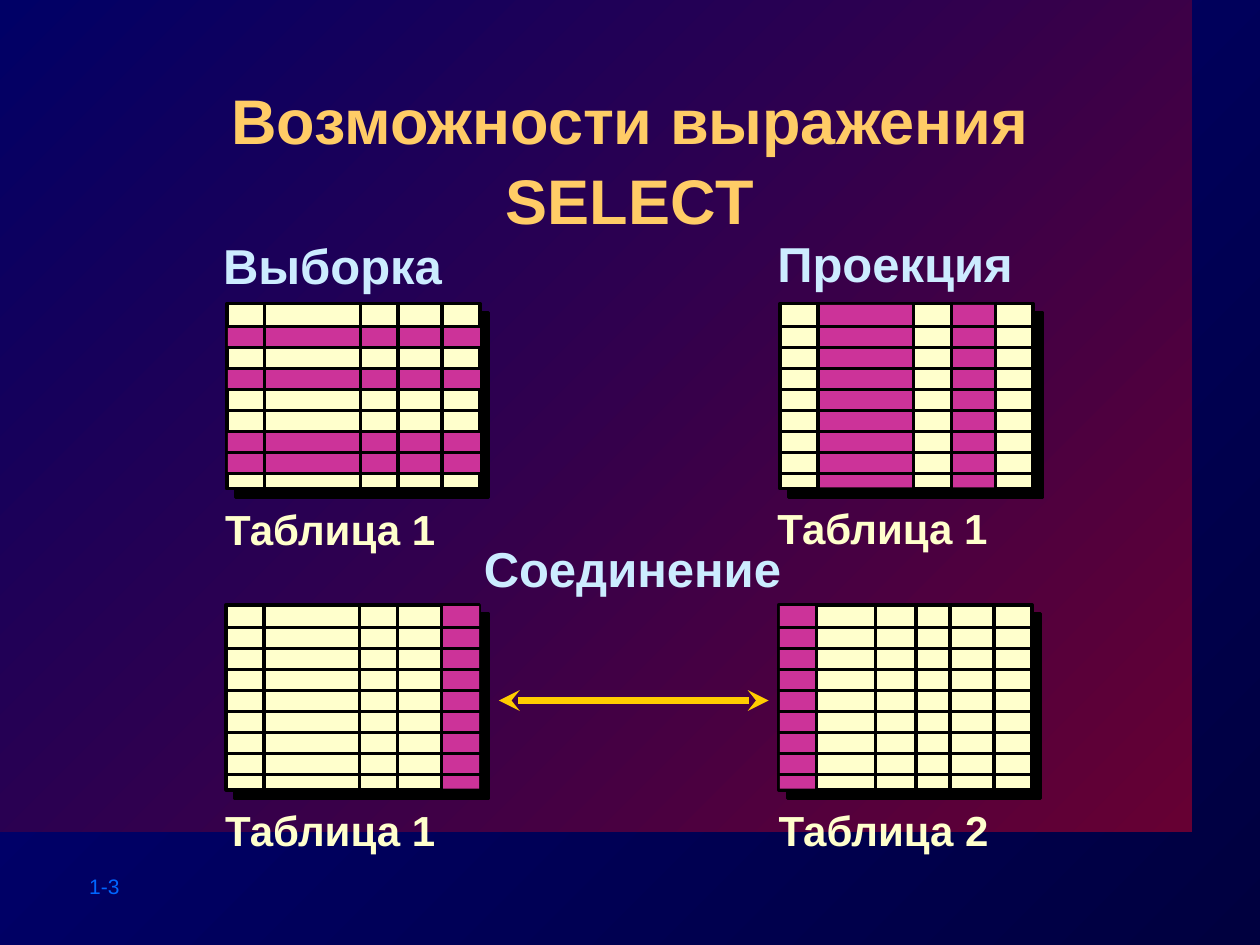
from dataclasses import dataclass

from lxml.etree import SubElement
from pptx import Presentation
from pptx.dml.color import RGBColor as Rgb
from pptx.enum.shapes import MSO_CONNECTOR as Connector, MSO_SHAPE as Preset
from pptx.enum.text import MSO_ANCHOR as Anchor, PP_ALIGN as Align
from pptx.oxml.ns import qn
from pptx.util import Pt

COLORS = {
    "title": "FFCC66", "heading": "CCECFF", "caption": "FFFFCC",
    "number": "0066FF", "cell": "FFFFCC", "picked": "CC3399",
    "grid": "000000", "shadow": "000000", "arrow": "FFCC00",
    "back_start": "00003F", "back_end": "000080",
    "panel_start": "660033", "panel_end": "000066",
}
GRID_WIDTH, GRID_HEIGHT = 144.7, 105.8
FIRST_ROW, ROW_PITCH, ROW_COUNT = 13, 12, 9
ROW_EDGES = [0, *(FIRST_ROW + ROW_PITCH * i for i in range(ROW_COUNT - 1)), GRID_HEIGHT]
FIVE_COLUMNS = (0, 21.6, 76.3, 97.9, 123.1, GRID_WIDTH)
SIX_COLUMNS = (0, 21.6, 55.4, 78.5, 97.9, 123.1, GRID_WIDTH)


@dataclass
class Grid:
    left: float
    top: float
    columns: tuple[float, ...]
    picked_rows: tuple[int, ...] = ()
    picked_columns: tuple[int, ...] = ()


@dataclass
class Label:
    text: str
    left: float
    top: float
    width: float
    height: float
    size: float
    color: str
    bold: bool = True


GRIDS = [
    Grid(129.6, 173.5, FIVE_COLUMNS, picked_rows=(1, 3, 6, 7)),
    Grid(445.7, 173.5, FIVE_COLUMNS, picked_columns=(1, 3)),
    Grid(129.2, 345.6, FIVE_COLUMNS, picked_columns=(4,)),
    Grid(445, 345.6, SIX_COLUMNS, picked_columns=(0,)),
]
LABELS = [
    Label("Выборка", 120.4, 131.3, 139.7, 41, 28, "heading"),
    Label("Проекция", 437.2, 130, 149, 41, 28, "heading"),
    Label("Соединение", 269.4, 304.4, 184.3, 41, 28, "heading"),
    Label("Таблица 1", 121.6, 284, 135.4, 36, 24, "caption"),
    Label("Таблица 1", 437.2, 283.5, 135.4, 36, 24, "caption"),
    Label("Таблица 1", 121.6, 456.4, 135.4, 36, 24, "caption"),
    Label("Таблица 2", 437.8, 456.4, 135.4, 36, 24, "caption"),
    Label("1-3", 43.9, 495.4, 79.9, 21.6, 12, "number", bold=False),
]


def rgb(name: str) -> Rgb:
    return Rgb.from_string(COLORS[name])


def fill_gradient(fill, start: str, end: str) -> None:
    """Run the gradient from the bottom right corner to the top left."""
    fill.gradient()
    fill.gradient_angle = 135
    for stop, name in zip(fill.gradient_stops, (start, end)):
        stop.color.rgb = rgb(name)


def add_shadow(effects, distance: float) -> None:
    shadow = SubElement(effects, qn("a:outerShdw"), dist=str(Pt(distance)),
                        dir="2700000", algn="ctr", rotWithShape="0")
    SubElement(shadow, qn("a:srgbClr"), val=COLORS["shadow"])


def add_box(slide, left: float, top: float, width: float, height: float):
    """Add a rectangle with no outline and no shadow."""
    box = slide.shapes.add_shape(Preset.RECTANGLE, Pt(left), Pt(top), Pt(width), Pt(height))
    box.shadow.inherit = False
    box.line.fill.background()
    return box


def add_line(slide, x1: float, y1: float, x2: float, y2: float, color: str, weight: float):
    line = slide.shapes.add_connector(Connector.STRAIGHT, Pt(x1), Pt(y1), Pt(x2), Pt(y2))
    line.line.color.rgb = rgb(color)
    line.line.width = Pt(weight)
    SubElement(line._element.spPr, qn("a:effectLst"))
    return line


def add_picked(slide, left: float, top: float, width: float, height: float) -> None:
    box = add_box(slide, left, top, width, height)
    box.fill.solid()
    box.fill.fore_color.rgb = rgb("picked")


def add_grid(slide, grid: Grid) -> None:
    left, top, columns = grid.left, grid.top, grid.columns
    base = add_box(slide, left, top, GRID_WIDTH, GRID_HEIGHT)
    base.fill.solid()
    base.fill.fore_color.rgb = rgb("cell")
    base.line.color.rgb = rgb("grid")
    base.line.width = Pt(2)
    add_shadow(base._element.spPr.find(qn("a:effectLst")), 7.1)

    for row in grid.picked_rows:
        add_picked(slide, left + 0.7, top + ROW_EDGES[row],
                   GRID_WIDTH - 0.7, ROW_EDGES[row + 1] - ROW_EDGES[row])
    for column in grid.picked_columns:
        start, end = columns[column:column + 2]
        add_picked(slide, left + max(start, 0.7), top + 0.7,
                   end - max(start, 0.7), GRID_HEIGHT - 1.4)

    for y in ROW_EDGES[1:-1]:
        add_line(slide, left - 1, top + y, left + GRID_WIDTH + 1, top + y, "grid", 2)
    for x in columns[1:-1]:
        add_line(slide, left + x, top - 1, left + x, top + GRID_HEIGHT + 1, "grid", 2)


def add_label(slide, label: Label):
    box = slide.shapes.add_textbox(Pt(label.left), Pt(label.top),
                                   Pt(label.width), Pt(label.height))
    frame = box.text_frame
    frame.word_wrap = False
    frame.vertical_anchor = Anchor.TOP
    frame.text = label.text
    font = frame.paragraphs[0].runs[0].font
    font.name = "Arial"
    font.size = Pt(label.size)
    font.bold = label.bold
    font.color.rgb = rgb(label.color)
    return frame


def add_title(slide) -> None:
    frame = add_label(slide, Label("Возможности выражения SELECT",
                                   72.7, 41, 574.6, 69.1, 36, "title"))
    frame.word_wrap = True
    paragraph = frame.paragraphs[0]
    paragraph.alignment = Align.CENTER
    paragraph.line_spacing = 1.05
    properties = paragraph.runs[0].font._element
    effects = SubElement(properties, qn("a:effectLst"))
    properties.find(qn("a:solidFill")).addnext(effects)
    add_shadow(effects, 3)


def add_join_arrow(slide) -> None:
    arrow = add_line(slide, 285.1, 400.3, 439.2, 400.3, "arrow", 4)
    for end in ("a:headEnd", "a:tailEnd"):
        SubElement(arrow.line._get_or_add_ln(), qn(end), type="stealth")


def main() -> None:
    deck = Presentation()
    deck.slide_width, deck.slide_height = Pt(720), Pt(540)
    slide = deck.slides.add_slide(deck.slide_layouts[6])
    fill_gradient(slide.background.fill, "back_start", "back_end")
    panel = add_box(slide, 0, 0, 681.1, 475.2)
    fill_gradient(panel.fill, "panel_start", "panel_end")
    add_title(slide)
    for grid in GRIDS:
        add_grid(slide, grid)
    for label in LABELS:
        add_label(slide, label)
    add_join_arrow(slide)
    deck.save("out.pptx")


if __name__ == "__main__":
    main()
